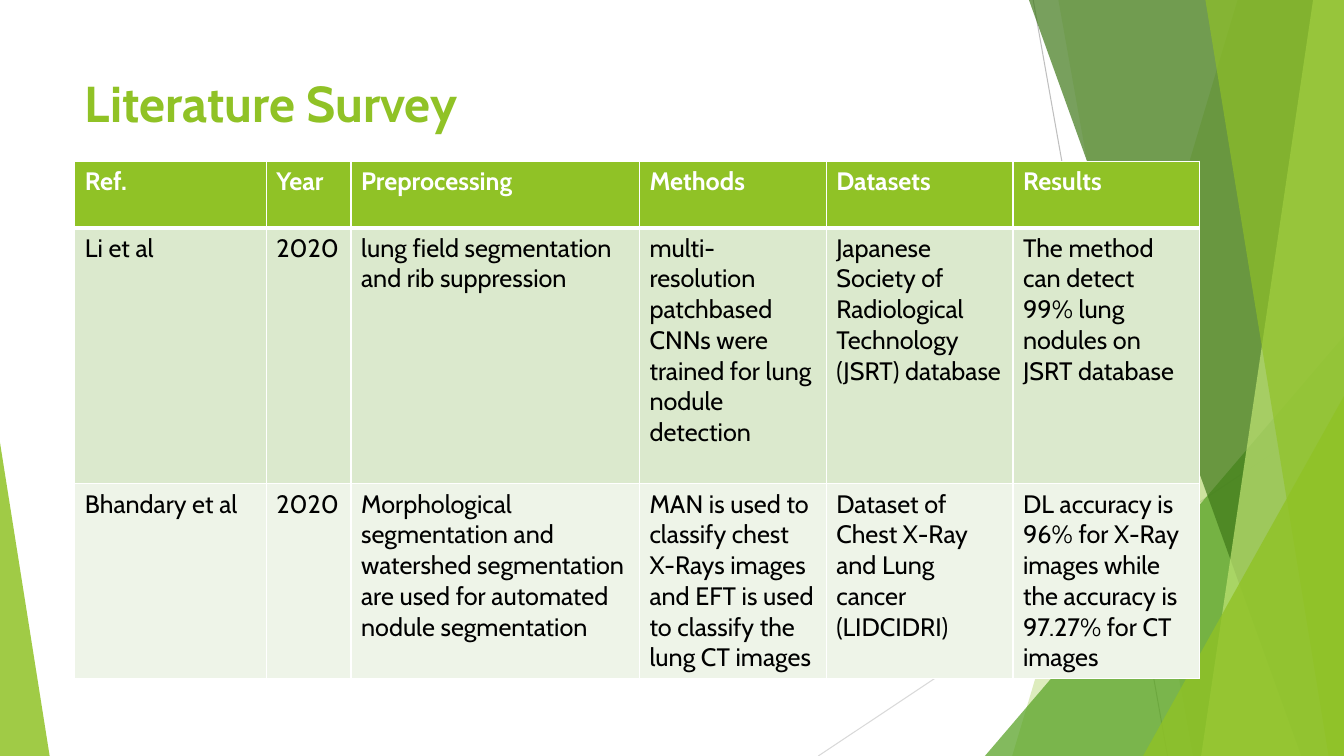
from lxml import etree
from pptx import Presentation
from pptx.dml.color import RGBColor
from pptx.enum.shapes import MSO_CONNECTOR, MSO_SHAPE
from pptx.enum.text import MSO_ANCHOR, PP_ALIGN
from pptx.oxml.ns import qn
from pptx.util import Pt

STRAIGHT = MSO_CONNECTOR.STRAIGHT
TRIANGLE = MSO_SHAPE.ISOSCELES_TRIANGLE
TOP = MSO_ANCHOR.TOP
LEFT = PP_ALIGN.LEFT

WIDTH, HEIGHT = 960, 540
FONT = "Cabin"
COLORS = {
    "lime": "90C226",
    "green": "54A021",
    "forest": "3F7819",
    "pale": "C0E474",
    "white": "FFFFFF",
    "black": "000000",
    "gray": "BFBFBF",
    "light gray": "D9D9D9",
    "odd row": "DBE9CD",
    "even row": "EEF4E8",
}

LINES = [
    ((738, 0), (834, 540), "gray"),
    ((960, 290), (584.5, 540), "light gray"),
]
BACK_BANDS = [(884, 723, "lime", 30), (756, 852, "lime", 20)]
FRONT_BANDS = [
    (735, 929.5, "forest", 70),
    (938, 858, "pale", 70),
    (861, 949, "lime", 65),
]
COLUMN_WIDTHS = [136.8, 60.5, 206, 133.4, 133.4, 133.4]
ROW_HEIGHTS = [47.5, 182.8, 139]
ROW_FILLS = ["lime", "odd row", "even row"]
SURVEY = [
    ["Ref.", "Year", "Preprocessing", "Methods", "Datasets", "Results"],
    [
        "Li et al",
        "2020",
        "lung field segmentation and rib suppression",
        "multi-resolution patchbased CNNs were trained for lung nodule detection",
        "Japanese Society of Radiological Technology (JSRT) database",
        "The method can detect 99% lung nodules on JSRT database",
    ],
    [
        "Bhandary et al",
        "2020",
        "Morphological segmentation and watershed segmentation are used for "
        "automated nodule segmentation",
        "MAN is used to classify chest X-Rays images and EFT is used to classify "
        "the lung CT images",
        "Dataset of Chest X-Ray and Lung cancer (LIDCIDRI)",
        "DL accuracy is 96% for X-Ray images while the accuracy is 97.27% for CT images",
    ],
]


def rgb(color):
    return RGBColor.from_string(COLORS[color])


class SlideBuilder:
    """Draw styled elements on one slide, with all lengths in points."""

    def __init__(self, slide, font):
        self.slide = slide
        self.font = font

    def style_text(self, frame, size, color, bold):
        for paragraph in frame.paragraphs:
            paragraph.alignment = LEFT
            paragraph.font.name = self.font
            paragraph.font.size = Pt(size)
            paragraph.font.bold = bold
            paragraph.font.color.rgb = rgb(color)

    def title(self, text, left, top, width, height):
        title = self.slide.shapes.title
        title.left, title.top = Pt(left), Pt(top)
        title.width, title.height = Pt(width), Pt(height)
        frame = title.text_frame
        frame.text = text
        frame.vertical_anchor = TOP
        self.style_text(frame, 36, "lime", True)

    def line(self, start, end, color):
        points = [Pt(value) for value in (*start, *end)]
        connector = self.slide.shapes.add_connector(STRAIGHT, *points)
        connector.line.color.rgb = rgb(color)
        connector.line.width = Pt(0.75)
        etree.SubElement(connector.element.spPr, qn("a:effectLst"))

    def paint(self, shape, color, opacity):
        shape.shadow.inherit = False
        shape.line.fill.background()
        shape.fill.solid()
        shape.fill.fore_color.rgb = rgb(color)
        fill_color = shape.element.spPr.find(f"{qn('a:solidFill')}/{qn('a:srgbClr')}")
        etree.SubElement(fill_color, qn("a:alpha"), val=str(opacity * 1000))

    def band(self, top_left, bottom_left, color, opacity):
        builder = self.slide.shapes.build_freeform(Pt(top_left), 0)
        corners = [(WIDTH, 0), (WIDTH, HEIGHT), (bottom_left, HEIGHT)]
        builder.add_line_segments([(Pt(x), Pt(y)) for x, y in corners], close=True)
        self.paint(builder.convert_to_shape(), color, opacity)

    def triangle(self, left, top, width, apex, color, opacity):
        shape = self.slide.shapes.add_shape(
            TRIANGLE, Pt(left), Pt(top), Pt(width), Pt(HEIGHT - top)
        )
        shape.adjustments[0] = apex
        self.paint(shape, color, opacity)

    def border(self, cell, top, bottom):
        properties = cell._tc.get_or_add_tcPr()
        sides = [("a:lnL", 1), ("a:lnR", 1), ("a:lnT", top), ("a:lnB", bottom)]
        for index, (side, width) in enumerate(sides):
            line = etree.Element(qn(side), w=str(Pt(width)))
            fill = etree.SubElement(line, qn("a:solidFill"))
            etree.SubElement(fill, qn("a:srgbClr"), val=COLORS["white"])
            properties.insert(index, line)

    def table(self, rows, left, top):
        frame = self.slide.shapes.add_table(
            len(rows), len(rows[0]), Pt(left), Pt(top),
            Pt(sum(COLUMN_WIDTHS)), Pt(sum(ROW_HEIGHTS)),
        )
        table = frame.table
        for column, width in zip(table.columns, COLUMN_WIDTHS):
            column.width = Pt(width)
        for row_index, texts in enumerate(rows):
            table.rows[row_index].height = Pt(ROW_HEIGHTS[row_index])
            header = row_index == 0
            for column_index, text in enumerate(texts):
                cell = table.cell(row_index, column_index)
                cell.text = text
                cell.fill.solid()
                cell.fill.fore_color.rgb = rgb(ROW_FILLS[row_index])
                color = "white" if header else "black"
                self.style_text(cell.text_frame, 18, color, header)
                self.border(cell, 3 if row_index == 1 else 1, 3 if header else 1)


def main():
    presentation = Presentation()
    presentation.slide_width, presentation.slide_height = Pt(WIDTH), Pt(HEIGHT)
    slide = presentation.slides.add_slide(presentation.slide_layouts[5])
    builder = SlideBuilder(slide, FONT)
    for line in LINES:
        builder.line(*line)
    for band in BACK_BANDS:
        builder.band(*band)
    builder.triangle(703.5, 240, 256.5, 1, "green", 72)
    for band in FRONT_BANDS:
        builder.band(*band)
    builder.triangle(816.5, 283, 143.5, 1, "lime", 80)
    builder.triangle(0, 316, 35.5, 0, "lime", 85)
    builder.title("Literature Survey", 53.5, 48, 677, 103.5)
    builder.table(SURVEY, 53.5, 115.2)
    presentation.save("out.pptx")


if __name__ == "__main__":
    main()
